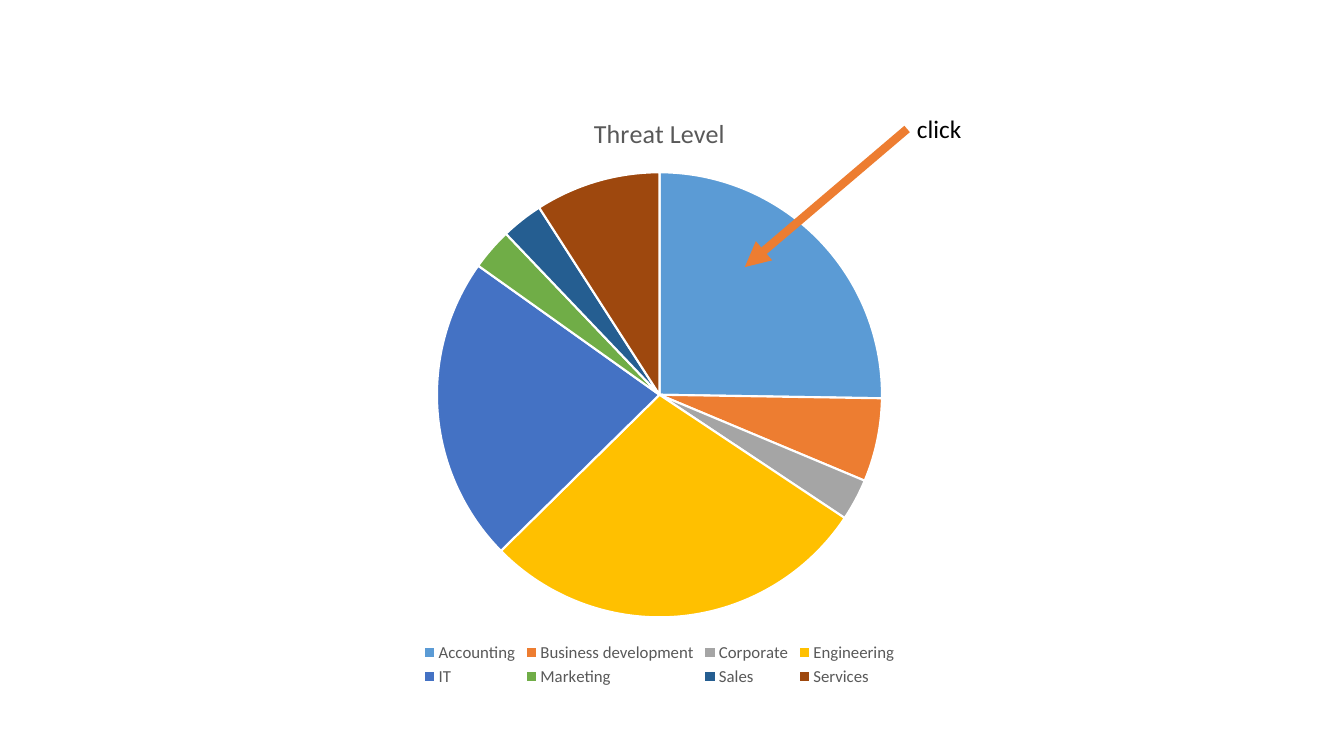
"""Build a slide with a pie chart of threat levels and a click hint."""
import pptx
import pptx.chart.data
import pptx.dml.color
import pptx.enum.chart
import pptx.enum.shapes
import pptx.enum.text
import pptx.oxml
import pptx.oxml.ns
import pptx.util

Cm, Pt = pptx.util.Cm, pptx.util.Pt
COLORS = {
    "white": "FFFFFF", "black": "000000", "gray": "595959",
    "blue": "5B9BD5", "orange": "ED7D31", "silver": "A5A5A5", "gold": "FFC000",
    "royal": "4472C4", "green": "70AD47", "navy": "255E91", "brown": "9E480E",
}
LEVELS = [
    ("Accounting", 25, "blue"), ("Business development", 6, "orange"),
    ("Corporate", 3, "silver"), ("Engineering", 28, "gold"),
    ("IT", 22, "royal"), ("Marketing", 3, "green"),
    ("Sales", 3, "navy"), ("Services", 9, "brown"),
]


def rgb(name):
    return pptx.dml.color.RGBColor.from_string(COLORS[name])


def style(font, face="Calibri", size=18, color="black", bold=False):
    font.name, font.size, font.bold = face, Pt(size), bold
    font.color.rgb = rgb(color)


def write(frame, text, **look):
    run = frame.paragraphs[0].add_run()
    run.text = text
    style(run.font, **look)


class Deck:
    """Hold the font and the current slide, and add elements to it."""

    def __init__(self, slide, face="Calibri"):
        self.slide, self.face = slide, face

    def pie(self, title, levels, left, top, width, height):
        data = pptx.chart.data.CategoryChartData()
        data.categories = [name for name, _, _ in levels]
        data.add_series(title, [value for _, value, _ in levels])
        kind = pptx.enum.chart.XL_CHART_TYPE.PIE
        chart = self.slide.shapes.add_chart(
            kind, Cm(left), Cm(top), Cm(width), Cm(height), data).chart
        style(chart.font, face=self.face, size=10)
        chart.has_title = True
        write(chart.chart_title.text_frame, title,
              face=self.face, size=18.6, color="gray")
        chart.chart_title.include_in_layout = False
        chart.has_legend = True
        chart.legend.position = pptx.enum.chart.XL_LEGEND_POSITION.BOTTOM
        chart.legend.include_in_layout = False
        style(chart.legend.font, face=self.face, size=12, color="gray")
        plot = chart.plots[0]
        plot.vary_by_categories = True
        for i, (_, _, color) in enumerate(levels):
            form = plot.series[0].points[i].format
            form.fill.solid()
            form.fill.fore_color.rgb = rgb(color)
            form.line.color.rgb = rgb("white")
            form.line.width = Pt(1.5)

    def arrow(self, x1, y1, x2, y2, color, width):
        line = self.slide.shapes.add_connector(
            pptx.enum.shapes.MSO_CONNECTOR.STRAIGHT,
            Cm(x1), Cm(y1), Cm(x2), Cm(y2))
        line.line.color.rgb = rgb(color)
        line.line.width = Pt(width)
        make, name = pptx.oxml.xmlchemy.OxmlElement, "a:tailEnd"
        head = make(name)
        head.set("type", "triangle")
        line.line._get_or_add_ln().append(head)
        line._element.spPr.append(make("a:effectLst"))

    def label(self, text, left, top, width, height, **look):
        box = self.slide.shapes.add_textbox(
            Cm(left), Cm(top), Cm(width), Cm(height))
        frame = box.text_frame
        frame.word_wrap = False
        frame.auto_size = pptx.enum.text.MSO_AUTO_SIZE.SHAPE_TO_FIT_TEXT
        write(frame, text, face=self.face, **look)


show = pptx.Presentation()
show.slide_width, show.slide_height = Cm(33.87), Cm(19.05)
deck = Deck(show.slides.add_slide(show.slide_layouts[6]))
deck.pie("Threat Level", LEVELS, 5.33, 2.34, 22.58, 15.06)
deck.arrow(22.86, 3.25, 18.77, 6.73, "orange", 6)
deck.label("click", 22.86, 2.74, 1.65, 1.02, size=18)
show.save("out.pptx")
